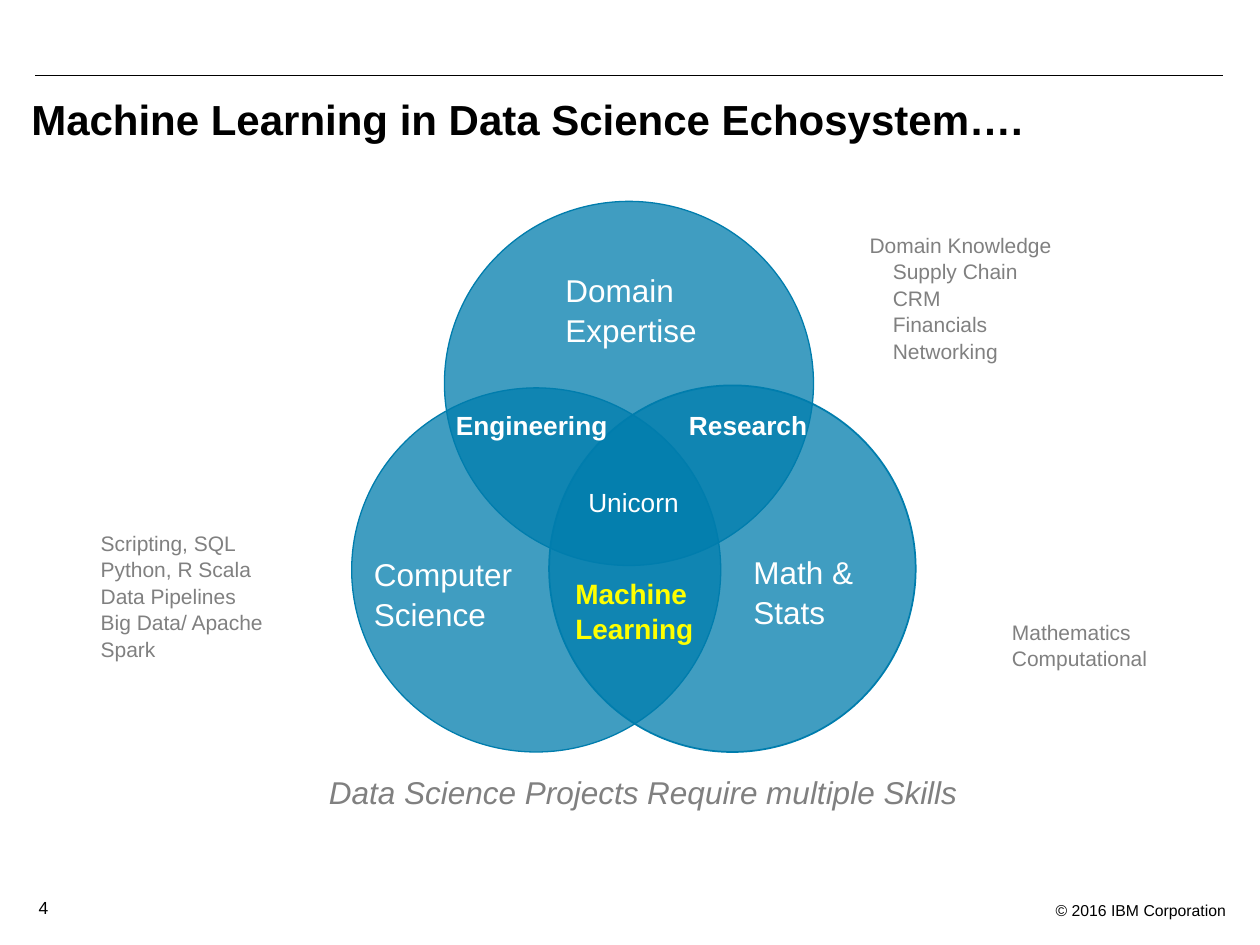
from lxml.etree import SubElement
from pptx import Presentation
from pptx.dml.color import RGBColor
from pptx.enum.shapes import MSO_CONNECTOR, MSO_SHAPE
from pptx.enum.text import MSO_ANCHOR, PP_ALIGN
from pptx.oxml.ns import qn
from pptx.util import Cm, Pt

BLACK = RGBColor(0x00, 0x00, 0x00)
WHITE = RGBColor(0xFF, 0xFF, 0xFF)
GRAY = RGBColor(0x80, 0x80, 0x80)
YELLOW = RGBColor(0xFF, 0xFF, 0x00)
BLUE = RGBColor(0x00, 0x7D, 0xAD)

TITLE = "Machine Learning in Data Science Echosystem…."
TITLE_BOX = (0.38, 1.7, 24.59, 1.07)
RULE = (0.71, 24.66, 1.52)

CIRCLES = [
    ((8.96, 4.06, 7.44, 7.34), 0.75),
    ((11.07, 7.77, 7.39, 7.39), 1),
    ((7.09, 7.82, 7.44, 7.34), 0.75),
]

DEFAULT = (0.25, 0.13, 0.25, 0.13)
TIGHT = (0.05, 0.05, 0.05, 0.05)
FLUSH = (0, 0.05, 0.1, 0.05)

SKILLS = [
    (["Math & Stats"], (15.14, 11.3, 2.62, 1.22)),
    (["Computer", "Science"], (7.49, 11.3, 3.84, 1.3)),
    (["Domain Expertise"], (11.35, 5.64, 4.7, 1.19)),
]
OVERLAPS = [
    (["Unicorn"], (11.61, 9.65, 2.9, 0.89), 15, WHITE, False),
    (["Machine", "Learning"], (11.35, 11.46, 3, 1.63), 16, YELLOW, True),
    (["Research"], (13.64, 8.1, 3.02, 0.89), 15, WHITE, True),
    (["Engineering"], (8.94, 8.1, 3.63, 0.89), 15, WHITE, True),
]
EXAMPLES = [
    (["Scripting, SQL", "Python, R Scala", "Data Pipelines",
      "Big Data/ Apache Spark"], (1.98, 10.41, 3.4, 3.18), 0),
    (["Mathematics", "Computational"], (20.35, 12.45, 3.48, 1.09), 0),
    (["Domain Knowledge", "Supply Chain", "CRM", "Financials", "Networking"],
     (17.48, 4.98, 6.91, 2.03), 0.47),
]
TAGLINE = "Data Science Projects Require multiple Skills"


def fill_text(sp, lines, size, color, bold=False, italic=False, inset=DEFAULT,
              anchor=MSO_ANCHOR.TOP, align=PP_ALIGN.LEFT, indent=0):
    tf = sp.text_frame
    tf.word_wrap = True
    tf.vertical_anchor = anchor
    (tf.margin_left, tf.margin_top,
     tf.margin_right, tf.margin_bottom) = map(Cm, inset)
    for i, line in enumerate(lines):
        p = tf.add_paragraph() if i else tf.paragraphs[0]
        p.alignment = align
        p.line_spacing = 1.05
        if i and indent:
            p._p.get_or_add_pPr().set("marL", str(Cm(indent)))
        r = p.add_run()
        r.text = line
        r.font.name = "Arial"
        r.font.size = Pt(size)
        r.font.bold = bold
        r.font.italic = italic
        r.font.color.rgb = color


def add_text(s, lines, box, size, color, **style):
    fill_text(s.shapes.add_textbox(*map(Cm, box)), lines, size, color, **style)


def add_circle(s, box, width):
    sp = s.shapes.add_shape(MSO_SHAPE.OVAL, *map(Cm, box))
    sp.shadow.inherit = False
    sp.fill.solid()
    sp.fill.fore_color.rgb = BLUE
    color = sp._element.spPr.find(qn("a:solidFill")).find(qn("a:srgbClr"))
    SubElement(color, qn("a:alpha")).set("val", "75000")
    sp.line.color.rgb = BLUE
    sp.line.width = Pt(width)


def add_rule(s, left, right, y):
    line = s.shapes.add_connector(
        MSO_CONNECTOR.STRAIGHT, Cm(left), Cm(y), Cm(right), Cm(y))
    line.line.color.rgb = BLACK
    line.line.width = Pt(0.75)
    SubElement(line._element.spPr, qn("a:effectLst"))


def main():
    prs = Presentation()
    prs.slide_width, prs.slide_height = Cm(25.4), Cm(19.05)
    s = prs.slides.add_slide(prs.slide_layouts[5])

    title = s.shapes.title
    title.left, title.top, title.width, title.height = map(Cm, TITLE_BOX)
    fill_text(title, [TITLE], 24, BLACK, bold=True)
    add_rule(s, *RULE)
    add_text(s, ["© 2016 IBM Corporation"], (16.48, 18.01, 8.48, 0.64), 9, BLACK,
             align=PP_ALIGN.RIGHT)
    add_text(s, ["4"], (0.53, 17.93, 1.52, 0.69), 10, BLACK)

    for box, width in CIRCLES:
        add_circle(s, box, width)
    for lines, box in SKILLS:
        add_text(s, lines, box, 18, WHITE, inset=TIGHT, anchor=MSO_ANCHOR.MIDDLE)
    for lines, box, size, color, bold in OVERLAPS:
        add_text(s, lines, box, size, color, bold=bold)
    for lines, box, indent in EXAMPLES:
        add_text(s, lines, box, 12, GRAY, inset=TIGHT,
                 anchor=MSO_ANCHOR.MIDDLE, indent=indent)
    add_text(s, [TAGLINE], (6.63, 15.49, 18.77, 0.86), 18, GRAY,
             italic=True, inset=FLUSH)

    prs.save("out.pptx")


if __name__ == "__main__":
    main()
